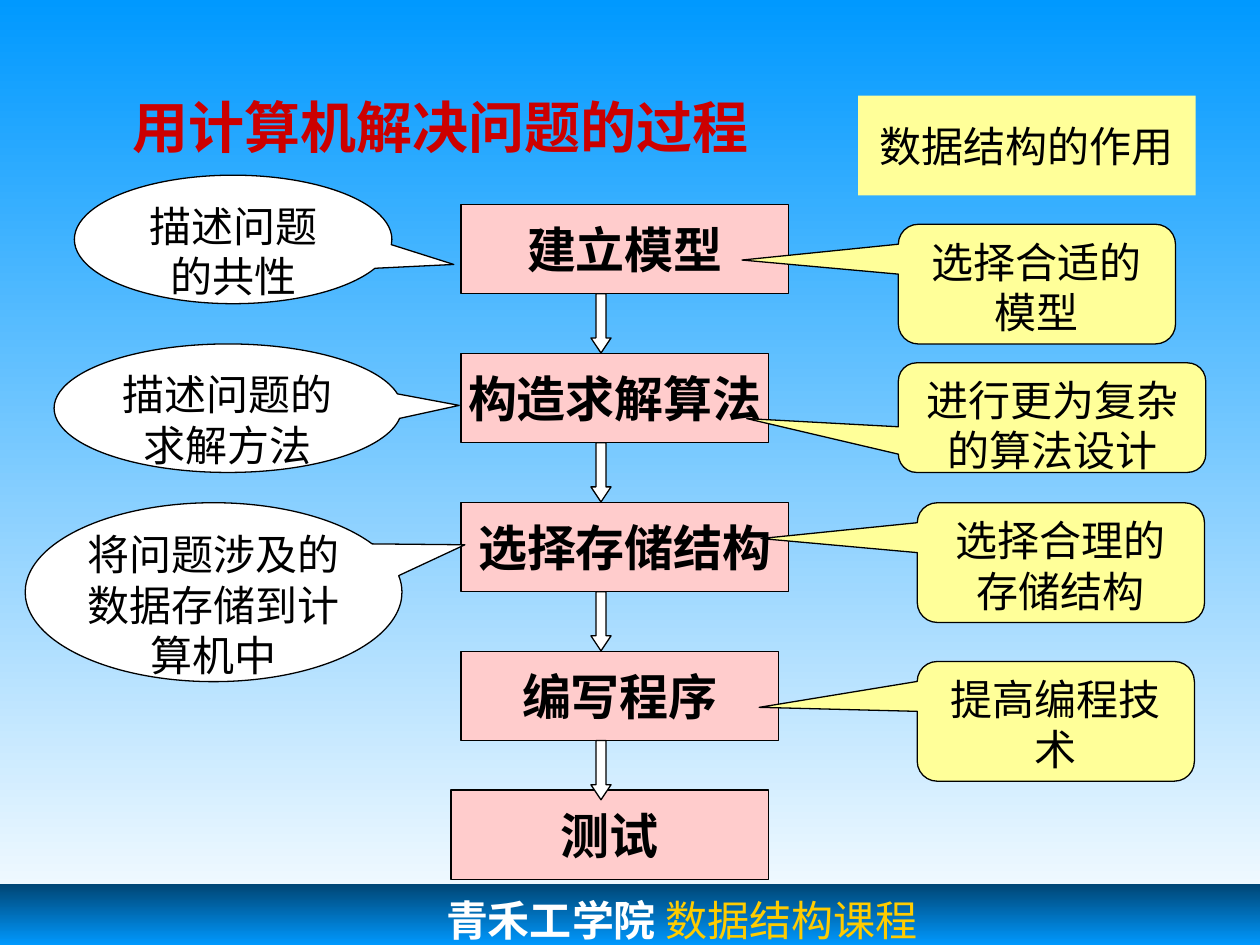
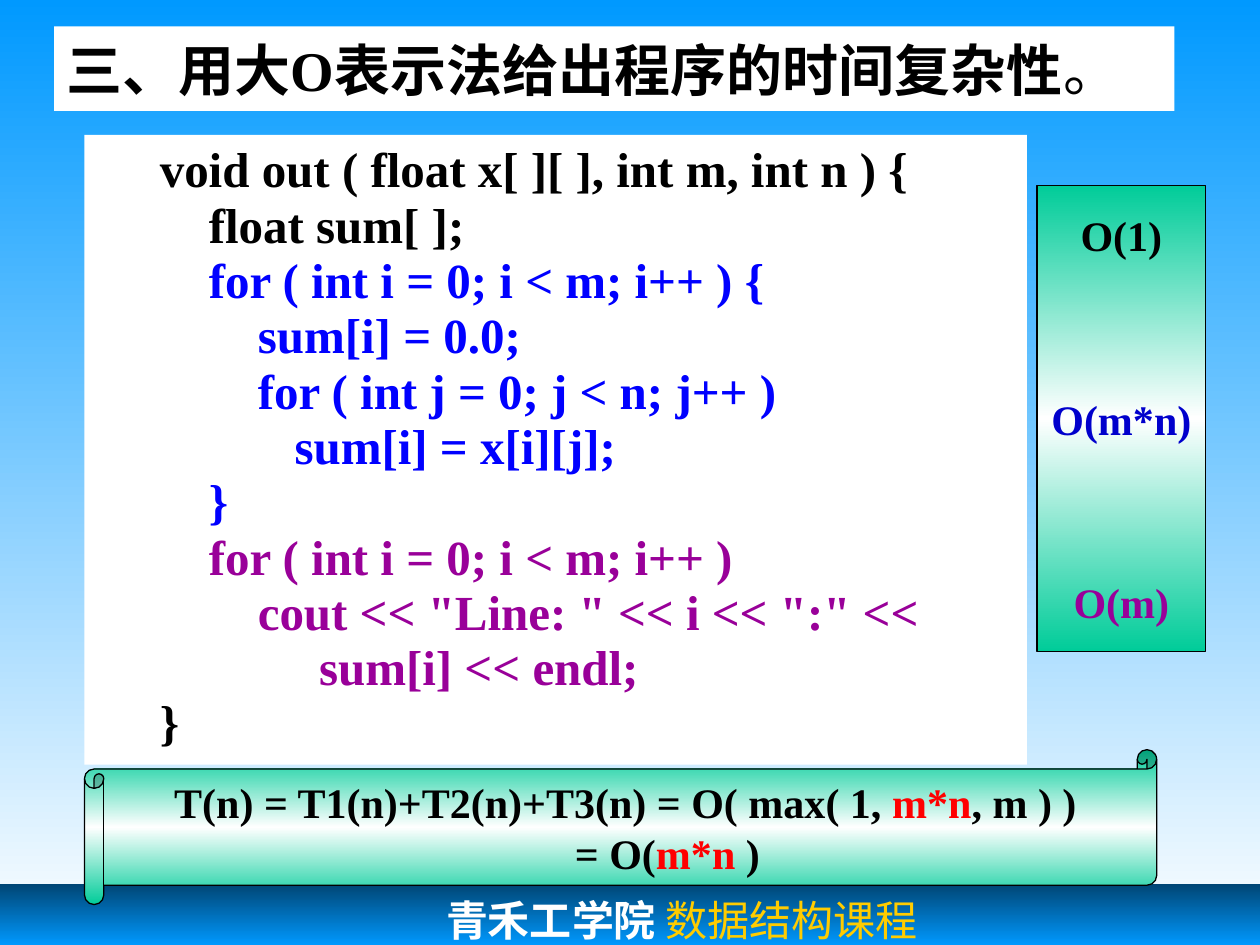
from dataclasses import dataclass

from lxml import etree
from pptx import Presentation
from pptx import util as u
from pptx.dml.color import RGBColor
from pptx.enum import lang, shapes, text
from pptx.oxml.ns import qn

COLUMNS, ROWS = 100, 75
WIDTH, HEIGHT = u.Inches(10), u.Inches(7.5)
SHAPE = shapes.MSO_SHAPE
ALIGN = text.PP_ALIGN
ANCHOR = text.MSO_ANCHOR


@dataclass(frozen=True)
class Theme:
    serif: str = "Times New Roman"
    mono: str = "Noto Sans Mono"
    title: int = 32
    heading: int = 28
    body: int = 24
    black: str = "000000"
    white: str = "FFFFFF"
    red: str = "CC0000"
    bright_red: str = "FF0000"
    gold: str = "FFCC00"
    pink: str = "FFCCCC"
    yellow: str = "FFFF99"
    blue: str = "0000FF"
    deep_blue: str = "0000CC"
    purple: str = "990099"
    sky: tuple = ("0099FF", "FFFFFF")
    band: tuple = ("004675", "0099FF", "004675")
    mint: tuple = ("00CC99", "FFFFFF", "00CC99")


THEME = Theme()


def cells(left, top, width, height):
    """Turn grid columns and rows into slide lengths."""
    column, row = WIDTH / COLUMNS, HEIGHT / ROWS
    return (u.Emu(round(left * column)), u.Emu(round(top * row)),
            u.Emu(round(width * column)), u.Emu(round(height * row)))


def paint_gradient(fill, owner, colors):
    """Spread the colours evenly from top to bottom."""
    fill.gradient()
    fill.gradient_angle = 270
    stops = next(owner.iter(qn("a:gsLst")))
    for stop in list(stops):
        stops.remove(stop)
    for i, color in enumerate(colors):
        stop = etree.SubElement(stops, qn("a:gs"), pos=str(i * 100000 // (len(colors) - 1)))
        etree.SubElement(stop, qn("a:srgbClr"), val=color)


def add_block(slide, kind, place, fill, outlined=True, adjust=()):
    block = slide.shapes.add_shape(kind, *cells(*place))
    block.shadow.inherit = False
    for i, value in enumerate(adjust):
        block.adjustments[i] = value
    if isinstance(fill, tuple):
        paint_gradient(block.fill, block.element, fill)
    else:
        block.fill.solid()
        block.fill.fore_color.rgb = RGBColor.from_string(fill)
    if outlined:
        block.line.color.rgb = RGBColor.from_string(THEME.black)
        block.line.width = u.Pt(0.75)
    else:
        block.line.fill.background()
    return block


def write(shape, paragraphs, *, size=THEME.body, color=THEME.black, bold=False,
          font=THEME.serif, align=ALIGN.CENTER, anchor=ANCHOR.MIDDLE, wrap=True,
          insets=(0.1, 0.05, 0.1, 0.05), line=1.0, gap=0, indents=()):
    """Fill a shape; a paragraph is a list of (text, run format), indents are in points."""
    frame = shape.text_frame
    frame.word_wrap = wrap
    frame.vertical_anchor = anchor
    (frame.margin_left, frame.margin_top,
     frame.margin_right, frame.margin_bottom) = map(u.Inches, insets)
    for i, runs in enumerate(paragraphs):
        paragraph = frame.add_paragraph() if i else frame.paragraphs[0]
        paragraph.alignment = align
        paragraph.line_spacing = line
        paragraph.space_before = u.Pt(gap if i else 0)
        if indents:
            paragraph._p.get_or_add_pPr().set("marL", str(u.Pt(indents[i])))
        for content, change in runs:
            style = dict(color=color, bold=bold, font=font) | change
            run = paragraph.add_run()
            run.text = content
            run.font.size = u.Pt(size)
            run.font.bold = style["bold"]
            run.font.name = style["font"]
            run.font.language_id = lang.MSO_LANGUAGE_ID.SIMPLIFIED_CHINESE
            run.font.color.rgb = RGBColor.from_string(style["color"])


def plain(*lines):
    return [[(content, {})] for content in lines]


def tinted(content, color):
    return content, {"color": color}


def add_course_slide(deck):
    """Add a slide with the sky background and the course band."""
    slide = deck.slides.add_slide(deck.slide_layouts[6])
    paint_gradient(slide.background.fill, slide.element, THEME.sky)
    band = add_block(slide, SHAPE.RECTANGLE, (0, 70.2, 100, 9.7), THEME.band, outlined=False)
    course = [("青禾工学院", {"bold": True, "font": THEME.mono}),
              tinted(" 数据结构课程", THEME.gold)]
    write(band, [course], color=THEME.white, align=ALIGN.LEFT, anchor=ANCHOR.TOP,
          insets=(3.54, 0.08, 0.1, 0.05))
    return slide


def add_steps(slide):
    left, top, pitch, height = 36.6, 16.22, 11.82, 7.1
    steps = [("建立模型", left, top, 26),
             ("构造求解算法", left, top + pitch, 24.4),
             ("选择存储结构", left, top + 2 * pitch, 26),
             ("编写程序", left, top + 3 * pitch, 25.2),
             ("测试", 35.8, 62.7, 25.2)]
    for name, x, y, width in steps:
        step = add_block(slide, SHAPE.FLOWCHART_PROCESS, (x, y, width, height), THEME.pink)
        write(step, plain(name), size=THEME.heading, bold=True, wrap=False)
    for i in range(len(steps) - 1):
        add_block(slide, SHAPE.DOWN_ARROW, (46.9, top + height + i * pitch, 1.6, 4.7),
                  THEME.white, adjust=(0.5, 0.748))


def add_callouts(slide, kind, fill, callouts):
    for remark, place, adjust, insets in callouts:
        callout = add_block(slide, kind, place, fill, adjust=adjust)
        write(callout, plain(remark), anchor=ANCHOR.TOP, insets=insets)


def build_process(deck):
    slide = add_course_slide(deck)
    title = slide.shapes.add_textbox(*cells(9, 7.6, 52, 4.8))
    write(title, plain("用计算机解决问题的过程"), size=THEME.title, color=THEME.red, bold=True)
    add_steps(slide)
    normal, tight = (0.1, 0.05, 0.1, 0.05), (0, 0, 0, 0.01)
    add_callouts(slide, SHAPE.OVAL_CALLOUT, THEME.white, [
        ("描述问题的共性", (5.9, 13.9, 25.2, 10.2), (0.695, 0.195), normal),
        ("描述问题的求解方法", (4.3, 27.3, 27.6, 10.2), (0.665, -0.022), normal),
        ("将问题涉及的数据存储到计算机中", (2, 39.9, 29.9, 14.2), (0.667, -0.265), tight)])
    role = add_block(slide, SHAPE.RECTANGLE, (68.1, 7.6, 26.8, 7.9), THEME.yellow, outlined=False)
    write(role, plain("数据结构的作用"), wrap=False)
    add_callouts(slide, SHAPE.ROUNDED_RECTANGULAR_CALLOUT, THEME.yellow, [
        ("选择合适的模型", (71.3, 17.8, 22, 9.5), (-1.064, -0.201), normal),
        ("进行更为复杂的算法设计", (71.3, 28.8, 24.4, 8.7), (-0.993, 0.009), normal),
        ("选择合理的存储结构", (72.8, 39.9, 22.8, 9.5), (-1.044, -0.201), normal),
        ("提高编程技术", (72.8, 52.5, 22, 9.5), (-1.07, -0.117), normal)])


def add_code(slide):
    space, margin = 7, 36
    lines = [(0, "void out ( float x[ ][ ], int m, int n ) {", THEME.black),
             (4, "float sum[ ];", THEME.black),
             (4, "for ( int i = 0; i < m; i++ ) {", THEME.blue),
             (8, "sum[i] = 0.0;", THEME.blue),
             (8, "for ( int j = 0; j < n; j++ )", THEME.blue),
             (11, "sum[i] = x[i][j];", THEME.blue),
             (4, "}", THEME.blue),
             (4, "for ( int i = 0; i < m; i++ )", THEME.purple),
             (8, 'cout << "Line: " << i << ":" <<', THEME.purple),
             (13, "sum[i] << endl;", THEME.purple),
             (0, "}", THEME.black)]
    code = add_block(slide, SHAPE.RECTANGLE, (6.7, 10.7, 74.8, 50), THEME.white, outlined=False)
    write(code, [[tinted(content, color)] for _, content, color in lines],
          size=THEME.heading, bold=True, align=ALIGN.LEFT, anchor=ANCHOR.TOP, line=0.94,
          insets=(0.1, 0.07, 0.1, 0.05),
          indents=[margin + space * depth for depth, _, _ in lines])


def build_complexity(deck):
    slide = add_course_slide(deck)
    title = add_block(slide, SHAPE.RECTANGLE, (4.3, 2.1, 88.9, 6.7), THEME.white, outlined=False)
    write(title, [[("三、用大O表示法给出程序的时间复杂性", {}), ("。", {"bold": False})]],
          size=THEME.title, bold=True, align=ALIGN.LEFT)
    add_code(slide)
    total = add_block(slide, SHAPE.HORIZONTAL_SCROLL, (6.7, 59.5, 85.1, 12.3), THEME.mint,
                      adjust=(0.125,))
    write(total, [[("T(n) = T1(n)+T2(n)+T3(n) = O( max( 1, ", {}),
                   tinted("m*n", THEME.bright_red), (", m ) )", {})],
                  [("= O(", {}), tinted("m*n ", THEME.bright_red), (")", {})]],
          bold=True, indents=(0, 48))
    orders = add_block(slide, SHAPE.RECTANGLE, (82.3, 14.7, 13.4, 37), THEME.mint)
    write(orders, [[tinted("O(1)", THEME.black)], [tinted("O(m*n)", THEME.deep_blue)],
                   [tinted("O(m)", THEME.purple)]], bold=True, wrap=False, gap=76)


def main():
    deck = Presentation()
    deck.slide_width, deck.slide_height = WIDTH, HEIGHT
    build_process(deck)
    build_complexity(deck)
    deck.save("out.pptx")


if __name__ == "__main__":
    main()
